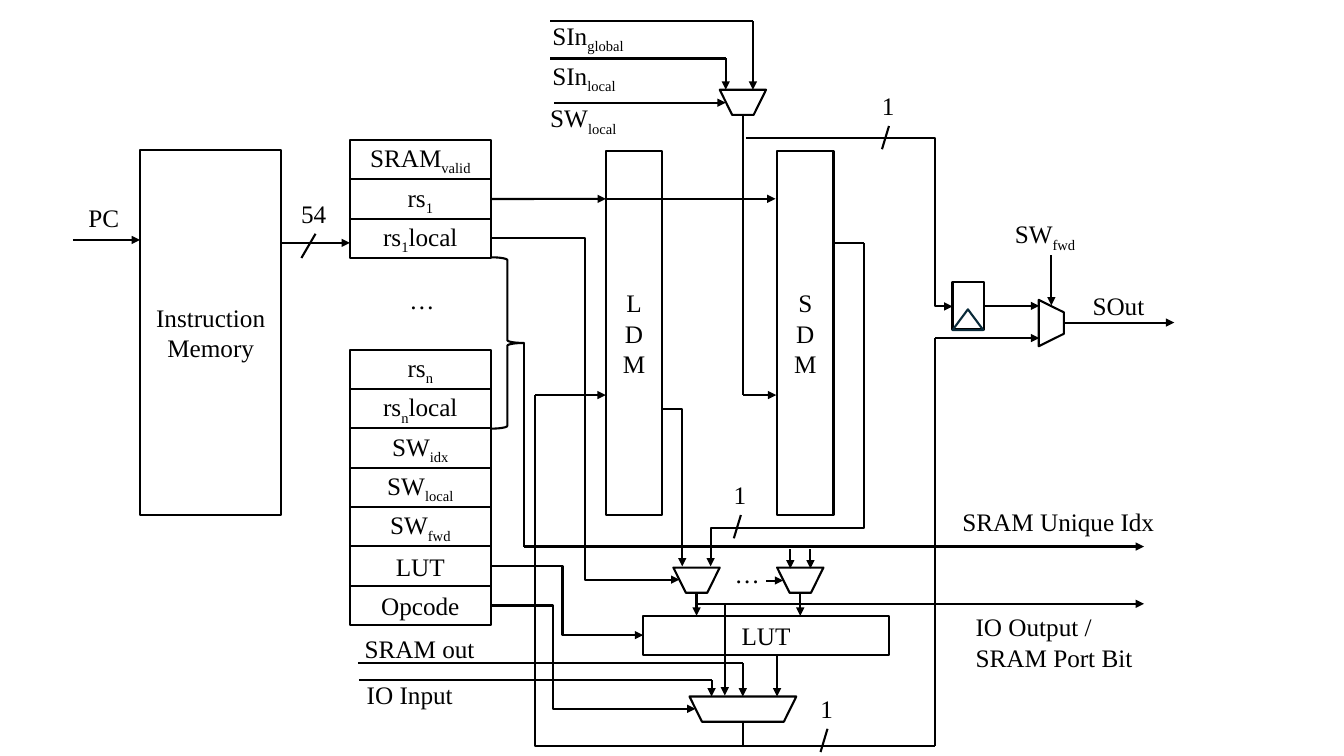
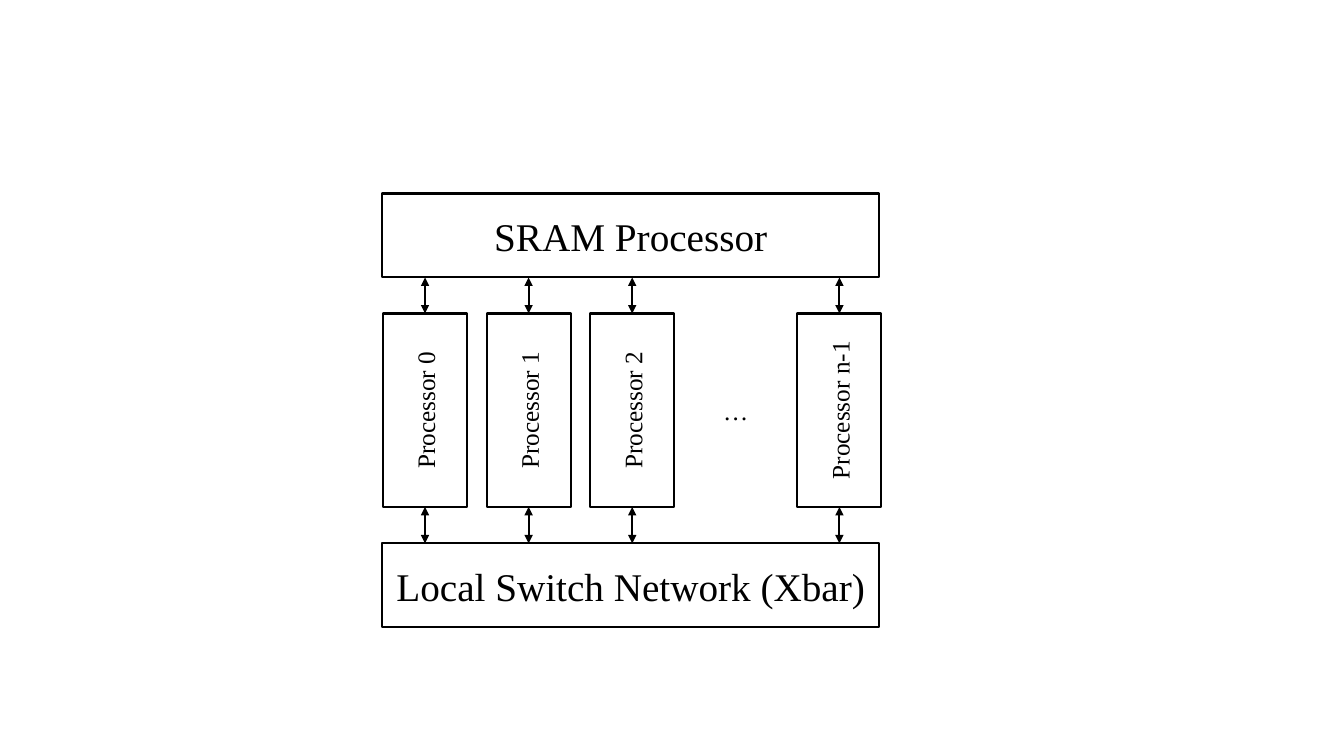
from dataclasses import dataclass

from pptx import Presentation
from pptx.dml.color import RGBColor
from pptx.enum.shapes import MSO_CONNECTOR as LINK, MSO_SHAPE as SHAPE
from pptx.enum.text import MSO_ANCHOR as ANCHOR, MSO_AUTO_SIZE as FIT, PP_ALIGN as ALIGN
from pptx.oxml.ns import qn
from pptx.slide import Slide
from pptx.util import Pt

COLORS = {"ink": "000000", "clock": "092A39"}
FONT = {"name": "Times New Roman", "size": Pt(18)}
CENTERED = {"vertical_anchor": ANCHOR.MIDDLE, "word_wrap": True}
LOOSE = {"word_wrap": False, "auto_size": FIT.SHAPE_TO_FIT_TEXT}
STROKE = Pt(1.5)
LABEL_HEIGHT = 28.8
ROW_HEIGHT = 28.1
ROW_WIDTH = 100.5
MUX = (33.1, 18)
TOP, LEFT, BOTTOM, RIGHT = range(4)


def apply(target, values):
    for name, value in values.items():
        setattr(target, name, value)


def paint(line, color="ink"):
    line.color.rgb = RGBColor.from_string(COLORS[color])
    line.width = STROKE


def write(frame, text, align, size=18):
    for index, content in enumerate(text.split("\n")):
        para = frame.paragraphs[0] if index == 0 else frame.add_paragraph()
        para.alignment = align
        for position, part in enumerate(content.split("_")):
            span = para.add_run()
            span.text = part
            apply(span.font, FONT | {"size": Pt(size)})
            span.font.color.rgb = RGBColor.from_string(COLORS["ink"])
            if position % 2:
                span._r.get_or_add_rPr().set("baseline", "-25000")


@dataclass
class Region:
    page: Slide
    left: float
    top: float

    def point(self, x, y):
        return Pt(self.left + x), Pt(self.top + y)

    def shape(self, kind, left, top, width, height, rotation=0, color="ink"):
        box = self.page.shapes.add_shape(kind, *self.point(left, top), Pt(width), Pt(height))
        box.shadow.inherit = False
        box.fill.background()
        box.rotation = rotation
        paint(box.line, color)
        return box

    def block(self, text, left, top, width, height, size=18, direction=None):
        box = self.shape(SHAPE.RECTANGLE, left, top, width, height)
        apply(box.text_frame, CENTERED)
        write(box.text_frame, text, ALIGN.CENTER, size)
        if direction:
            box.text_frame._txBody.bodyPr.set("vert", direction)
        return box

    def mux(self, left, top, width=MUX[0], rotation=180):
        box = self.shape(SHAPE.TRAPEZOID, left, top, width, MUX[1], rotation)
        box.adjustments[0] = 0.496

    def label(self, text, left, top, width, height=LABEL_HEIGHT):
        box = self.page.shapes.add_textbox(*self.point(left, top), Pt(width), Pt(height))
        apply(box.text_frame, LOOSE)
        write(box.text_frame, text, ALIGN.LEFT)

    def link(self, kind, start, end, heads):
        line = self.page.shapes.add_connector(kind, *self.point(*start), *self.point(*end))
        paint(line.line)
        outline = line.line._get_or_add_ln()
        for head in heads:
            outline.append(outline.makeelement(qn(f"a:{head}"), {"type": "triangle"}))
        props = line._element.spPr
        props.append(props.makeelement(qn("a:effectLst"), {}))
        return line

    def wire(self, *points, heads=("tailEnd",)):
        last = len(points) - 2
        for index, (start, end) in enumerate(zip(points, points[1:])):
            line = self.link(LINK.STRAIGHT, start, end, heads if index == last else ())
        return line

    def elbow(self, start, end, bend, down=False, heads=("tailEnd",)):
        axis = 1 if down else 0
        ratio = (bend - start[axis]) / (end[axis] - start[axis])
        turn = 0
        if down:
            turn = 270 if end[0] > start[0] and end[1] > start[1] else 90
            sign = 1 if turn == 90 else -1
            middle_x, middle_y = (start[0] + end[0]) / 2, (start[1] + end[1]) / 2
            start, end = (
                (middle_x + sign * (y - middle_y), middle_y - sign * (x - middle_x))
                for x, y in (start, end)
            )
        line = self.link(LINK.ELBOW, start, end, heads)
        props = line._element.spPr
        if turn:
            props.find(qn("a:xfrm")).set("rot", str(turn * 60000))
        guides = props.find(qn("a:prstGeom")).find(qn("a:avLst"))
        formula = f"val {round(ratio * 100000)}"
        guides.append(guides.makeelement(qn("a:gd"), {"name": "adj1", "fmla": formula}))

    def bit_mark(self, left, top):
        self.label("1", left, top, 24.5)
        self.wire((left + 12.2, top + 28.8), (left + 7.2, top + 45.4), heads=())


def draw_fetch(area):
    area.block("Instruction\nMemory", 50, 7.4, 101, 260.6)
    area.label("PC", 6, 41, 37.4)
    area.wire((2, 71.4), (50, 71.4))
    area.label("54", 158, 38.2, 34)
    area.wire((151, 73.5), (200, 73.5))
    area.wire((175.4, 67), (165.3, 84.3), heads=())


def draw_fields(area):
    stacks = (
        (0, ("SRAM_valid", "rs_1", "rs_1_local")),
        (149.8, ("rs_n", "rs_n_local", "SW_idx", "SW_local", "SW_fwd", "LUT", "Opcode")),
    )
    fields = {}
    for stack_top, names in stacks:
        for row, name in enumerate(names):
            top = stack_top + row * ROW_HEIGHT
            fields[name] = area.block(name, 0, top, ROW_WIDTH, ROW_HEIGHT)
    area.label("…", 35.3, 99.4, 32.4)
    area.wire((ROW_WIDTH, 42.1), (182.8, 42.1)).begin_connect(fields["rs_1"], RIGHT)
    area.elbow((ROW_WIDTH, 70.2), (235.3, 314), 167.6)
    area.elbow((ROW_WIDTH, 304.1), (209.4, 353.7), 151.8)
    area.elbow((ROW_WIDTH, 332.5), (246.8, 406.3), 145.3)
    area.shape(SHAPE.RIGHT_BRACE, ROW_WIDTH, 83.8, 23.8, 122.4)
    area.wire((124.3, 144.8), (124.3, 290.4), (567.2, 290.4))
    area.label("SRAM Unique Idx", 430.4, 257.8, 152)


def draw_memories(area):
    for name, left in (("LDM", 0), ("SDM", 122.4)):
        area.block(name, left, 0, 40.3, 260.6, direction="wordArtVert")
    area.wire((0, 34.4), (121.3, 34.4))
    area.elbow((40.3, 71.7), (54.7, 297), 184.7, down=True)
    area.wire((162.7, 65.9), (184.3, 65.9), heads=())
    area.elbow((184.3, 65.9), (74.9, 297), 269.7, down=True)
    area.bit_mark(84.3, 231.5)


def draw_inputs(area):
    area.label("SIn_global", 2.4, 0.8, 70.6)
    area.label("SIn_local", 2.4, 29.6, 63.4)
    area.label("SW_local", 0.9, 59.8, 65.5)
    area.wire((8.1, 5.1), (152.8, 5.1), (152.8, 54.1))
    area.wire((8.1, 31.8), (133.4, 31.8), (133.4, 54.1))
    area.wire((11, 63.4), (133.4, 63.4))
    area.mux(129.1, 54.1)
    area.wire((145.6, 72.1), (145.6, 272.2), (169.4, 272.2))
    area.elbow((147.8, 88.6), (295.4, 208.9), 283.2)
    area.bit_mark(237.8, 51.2)


def draw_output(area):
    register = area.shape(SHAPE.RECTANGLE, 0.4, 51.6, 22.3, 33.8)
    area.shape(SHAPE.ISOSCELES_TRIANGLE, 0.4, 71, 22, 14.8, color="clock")
    area.wire((22.7, 68.5), (62.3, 68.5)).begin_connect(register, RIGHT)
    area.mux(54.4, 71.8, rotation=90)
    area.label("SW_fwd", 37.8, 2.6, 67)
    area.wire((71, 32.2), (71, 68.2))
    area.label("SOut", 93.3, 53.8, 51.8)
    area.wire((79.6, 80.4), (158.8, 80.4))


def draw_lookup(area):
    area.block("LUT", 209.4, 49.9, 175.7, ROW_HEIGHT)
    for left in (231, 305.1):
        middle = left + MUX[0] / 2
        area.mux(left, 15.4)
        area.wire((middle, 33.4), (middle, 49.9))
    area.label("…", 267.7, 5.3, 32.4)
    area.wire((297.2, 24.7), (309.4, 24.7))
    for x in (314.5, 328.9):
        area.wire((x, 2.4), (x, 16.1))
    area.wire((247.5, 41.3), (567.2, 41.3))
    area.label("IO Output /\nSRAM Port Bit", 439.8, 43.4, 127.4, 51)

    area.mux(242.5, 107.5, width=76.3)
    area.wire((267.7, 41.3), (267.7, 106.8))
    area.wire((305.1, 78), (305.1, 107.5))
    area.label("SRAM out", 3.4, 58.6, 93.6)
    area.wire((5.6, 83.8), (280.6, 83.8), (280.6, 107.5))
    area.label("IO Input", 4.9, 91.7, 77)
    area.wire((6.3, 96), (258.3, 96), (258.3, 107.5))

    area.elbow((280.6, 125.5), (132.3, -107.8), 142.8, down=True, heads=())
    area.wire((132.3, -107.8), (182.7, -107.8))
    area.wire((280.6, 142.8), (418.2, 142.8), (418.2, -148.5), (492.3, -148.5))
    area.bit_mark(328.9, 101.8)


def draw_processors(area):
    bar_height, core_top, core_height, core_width, pitch = 60, 85.7, 138.2, 60, 74
    network_top = 249.9
    for text, top in (("SRAM Processor", 0), ("Local Switch Network (Xbar)", network_top)):
        area.block(text, 0, top, 355, bar_height, size=28)
    for column, number in enumerate(("0", "1", "2", None, "n-1")):
        left = 0.6 + column * pitch
        middle = left + core_width / 2
        if number is None:
            area.label("…", middle - 16.2, core_top + (core_height - LABEL_HEIGHT) / 2, 32.4)
            continue
        core = area.block(f"Processor {number}", left, core_top, core_width, core_height,
                          direction="vert270")
        for side, start, end in (
            (TOP, core_top, bar_height),
            (BOTTOM, core_top + core_height, network_top),
        ):
            link = area.wire((middle, start), (middle, end), heads=("headEnd", "tailEnd"))
            link.begin_connect(core, side)


def main():
    deck = Presentation()
    deck.slide_width, deck.slide_height = Pt(960), Pt(540)
    blank = deck.slide_layouts[6]
    pages = (
        (
            (draw_fetch, 50, 100),
            (draw_fields, 250, 100),
            (draw_memories, 432.7, 107.6),
            (draw_inputs, 385, 10),
            (draw_output, 680, 150),
            (draw_lookup, 250, 390),
        ),
        ((draw_processors, 273, 138.2),),
    )
    for regions in pages:
        page = deck.slides.add_slide(blank)
        for draw, left, top in regions:
            draw(Region(page, left, top))
    deck.save("out.pptx")


if __name__ == "__main__":
    main()
